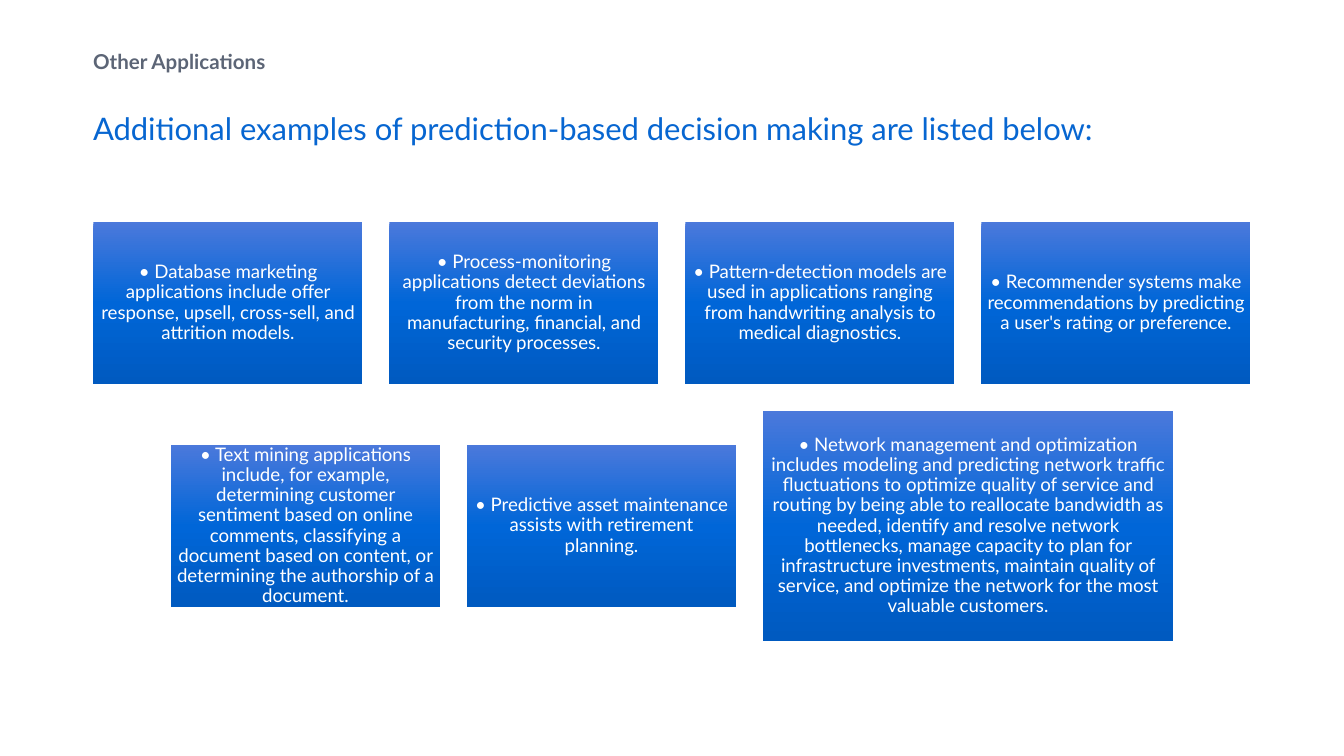
"""Build the slide listing further applications of prediction-based decision making."""
import copy

import pptx
import pptx.dml.color
import pptx.enum.shapes
import pptx.enum.text
import pptx.oxml.ns
import pptx.util

SLIDE_WIDTH, SLIDE_HEIGHT = 1344, 756
SCALE = pptx.util.Inches(10) / SLIDE_WIDTH
FONT = "Lato"
ALIGN = pptx.enum.text.PP_ALIGN
ANCHOR = pptx.enum.text.MSO_ANCHOR

TITLE = "Other Applications"
SUBTITLE = "Additional examples of prediction-based decision making are listed below:"
SMALL, LARGE = (269, 162), (410, 230)
GAP = 27
ROWS = [
    (303, [
        (SMALL, "• Database marketing applications include offer response, upsell, "
                "cross-sell, and attrition models."),
        (SMALL, "• Process-monitoring applications detect deviations from the norm in "
                "manufacturing, financial, and security processes."),
        (SMALL, "• Pattern-detection models are used in applications ranging from "
                "handwriting analysis to medical diagnostics."),
        (SMALL, "• Recommender systems make recommendations by predicting a user's "
                "rating or preference."),
    ]),
    (526, [
        (SMALL, "• Text mining applications include, for example, determining customer "
                "sentiment based on online comments, classifying a document based on "
                "content, or determining the authorship of a document."),
        (SMALL, "• Predictive asset maintenance assists with retirement planning."),
        (LARGE, "• Network management and optimization includes modeling and predicting "
                "network traffic fluctuations to optimize quality of service and routing "
                "by being able to reallocate bandwidth as needed, identify and resolve "
                "network bottlenecks, manage capacity to plan for infrastructure "
                "investments, maintain quality of service, and optimize the network for "
                "the most valuable customers."),
    ]),
]
GRADIENT = [(0, "4B79DB"), (0.5, "0066D8"), (1, "005AC0")]
TITLE_FORMAT = {"size": 11, "color": "5C6576", "bold": True}
SUBTITLE_FORMAT = {"size": 16.6, "color": "0766D1", "bold": False}
CARD_FORMAT = {"size": 10, "color": "FFFFFF", "bold": False}


def px(length):
    return round(length * SCALE)


def rgb(value):
    return pptx.dml.color.RGBColor.from_string(value)


def set_attributes(target, values):
    for name, value in values.items():
        setattr(target, name, value)


def write(shape, text, style, align=ALIGN.LEFT, anchor=ANCHOR.TOP, inset=0):
    frame = shape.text_frame
    sides = ("margin_left", "margin_top", "margin_right", "margin_bottom")
    set_attributes(frame, {side: px(inset) for side in sides})
    set_attributes(frame, {
        "word_wrap": True,
        "auto_size": pptx.enum.text.MSO_AUTO_SIZE.NONE,
        "vertical_anchor": anchor,
        "text": text,
    })
    para = frame.paragraphs[0]
    set_attributes(para, {"alignment": align, "line_spacing": 0.9})
    font = para.runs[0].font
    set_attributes(font, {"name": FONT, "size": pptx.util.Pt(style["size"]),
                          "bold": style["bold"]})
    font.color.rgb = rgb(style["color"])


def fill_gradient(shape):
    shape.fill.gradient()
    shape.fill.gradient_angle = 270
    stops = shape._element.spPr.find(".//" + pptx.oxml.ns.qn("a:gsLst"))
    stops.append(copy.deepcopy(stops[0]))
    for stop, (position, color) in zip(shape.fill.gradient_stops, GRADIENT):
        stop.position = position
        stop.color.rgb = rgb(color)


def add_card(page, left, top, size, text):
    card = page.shapes.add_shape(pptx.enum.shapes.MSO_SHAPE.RECTANGLE,
                                 *map(px, (left, top, *size)))
    card.shadow.inherit = False
    card.line.fill.background()
    fill_gradient(card)
    write(card, text, CARD_FORMAT, ALIGN.CENTER, ANCHOR.MIDDLE, 5)


def add_row(page, middle, cards):
    total = sum(size[0] for size, text in cards) + GAP * (len(cards) - 1)
    left = (SLIDE_WIDTH - total) / 2
    for size, text in cards:
        add_card(page, left, middle - size[1] / 2, size, text)
        left += size[0] + GAP


def main():
    deck = pptx.Presentation()
    set_attributes(deck, {"slide_width": px(SLIDE_WIDTH), "slide_height": px(SLIDE_HEIGHT)})
    page = deck.slides.add_slide(deck.slide_layouts[5])
    title = page.shapes.title
    set_attributes(title, {"left": px(93), "top": px(52),
                           "width": px(1158), "height": px(44)})
    write(title, TITLE, TITLE_FORMAT)
    subtitle = page.shapes.add_textbox(*map(px, (93, 114, 1158, 40)))
    write(subtitle, SUBTITLE, SUBTITLE_FORMAT)
    for middle, cards in ROWS:
        add_row(page, middle, cards)
    deck.save("out.pptx")


if __name__ == "__main__":
    main()
